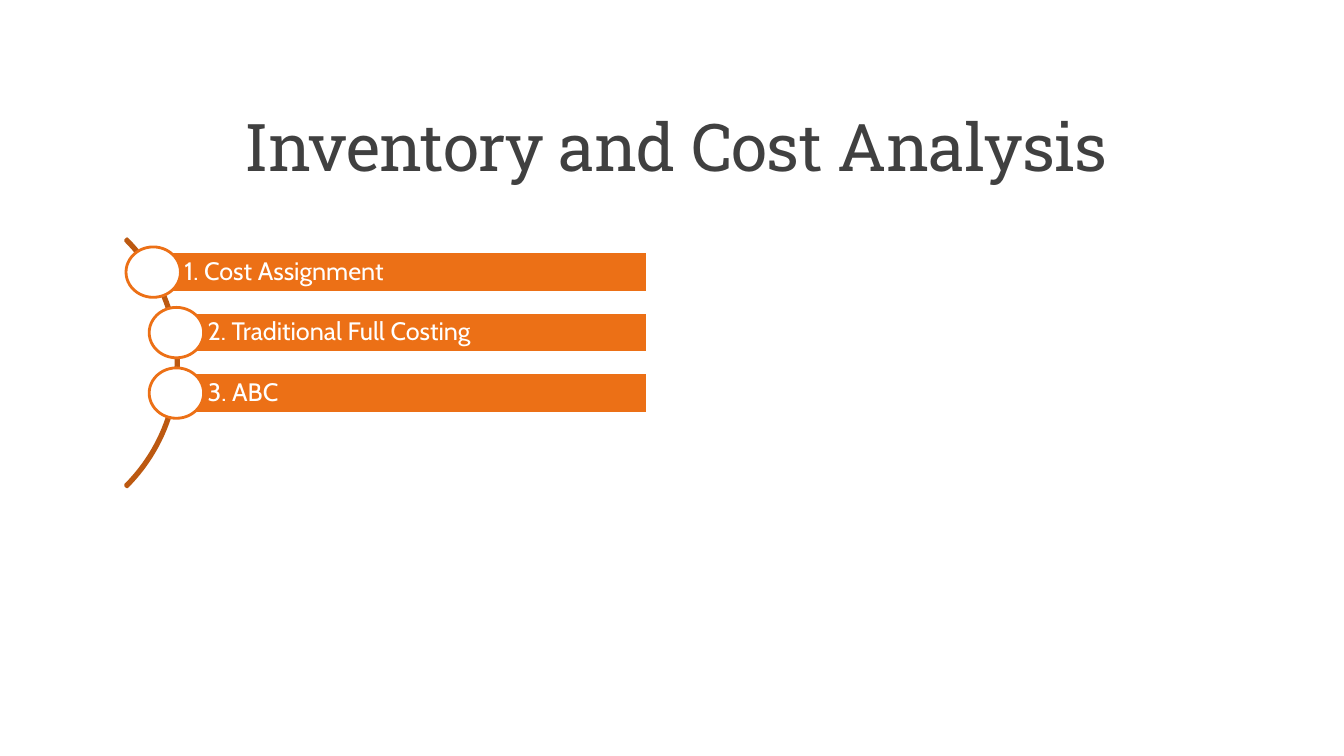
import pptx
import pptx.dml.color
import pptx.enum.shapes
import pptx.enum.text
import pptx.util

INCH = pptx.util.Inches
KIND = pptx.enum.shapes.MSO_SHAPE
ANCHOR = pptx.enum.text.MSO_ANCHOR


def paint(color_format, hex_color):
    color_format.rgb = pptx.dml.color.RGBColor.from_string(hex_color)


def write(shape, text, frame_format, font_format, hex_color, space_after=0):
    frame = shape.text_frame
    for name, value in frame_format.items():
        setattr(frame, name, value)
    paragraph = frame.paragraphs[0]
    paragraph.alignment = pptx.enum.text.PP_ALIGN.LEFT
    paragraph.line_spacing = 0.9
    paragraph.space_after = pptx.util.Pt(space_after)
    run = paragraph.add_run()
    run.text = text
    for name, value in font_format.items():
        setattr(run.font, name, value)
    paint(run.font.color, hex_color)
    return run


presentation = pptx.Presentation()
presentation.slide_width = INCH(13.33)
presentation.slide_height = INCH(7.5)
slide = presentation.slides.add_slide(presentation.slide_layouts[6])

title_format = {"word_wrap": True, "vertical_anchor": ANCHOR.BOTTOM}
title_font = {"name": "Roboto Slab", "size": pptx.util.Pt(47)}
title = slide.shapes.add_textbox(INCH(2.33), INCH(0.31), INCH(11), INCH(1.58))
title_run = write(title, "Inventory and Cost Analysis", title_format, title_font, "404040")
title_run.font._element.set("spc", "-50")

arc_size = INCH(3.48)
arc = slide.shapes.add_shape(KIND.BLOCK_ARC, INCH(-1.71), INCH(1.86), arc_size, arc_size)
arc.shadow.inherit = False
arc.fill.background()
arc.line.width = pptx.util.Pt(2)
paint(arc.line.color, "BC5911")
for index, value in enumerate((189, 27, 0.007)):
    arc.adjustments[index] = value

bar_format = {
    "word_wrap": True,
    "vertical_anchor": ANCHOR.MIDDLE,
    "margin_left": INCH(0.31),
    "margin_right": INCH(0.05),
    "margin_top": INCH(0.05),
    "margin_bottom": INCH(0.05),
}
bar_font = {"name": "Cabin", "size": pptx.util.Pt(18)}
bar_right, bar_height = 6.42, 0.4
circle_width, circle_height = 0.54, 0.5
first_center, row_pitch = 2.7, 0.6
topics = [
    ("1. Cost Assignment", 1.52),
    ("2. Traditional Full Costing", 1.75),
    ("3. ABC", 1.75),
]

for row, (topic, bar_left) in enumerate(topics):
    center = first_center + row * row_pitch
    group = slide.shapes.add_group_shape()
    bar = group.shapes.add_shape(
        KIND.RECTANGLE, INCH(bar_left), INCH(center - bar_height / 2),
        INCH(bar_right - bar_left), INCH(bar_height))
    circle = group.shapes.add_shape(
        KIND.OVAL, INCH(bar_left - circle_width / 2), INCH(center - circle_height / 2),
        INCH(circle_width), INCH(circle_height))
    for shape, fill_color, line_color in ((bar, "EC7016", "FFFFFF"), (circle, "FFFFFF", "EC7016")):
        shape.shadow.inherit = False
        shape.fill.solid()
        paint(shape.fill.fore_color, fill_color)
        paint(shape.line.color, line_color)
        shape.line.width = pptx.util.Pt(2)
    write(bar, topic, bar_format, bar_font, "FFFFFF", 6.3)

presentation.save("out.pptx")
